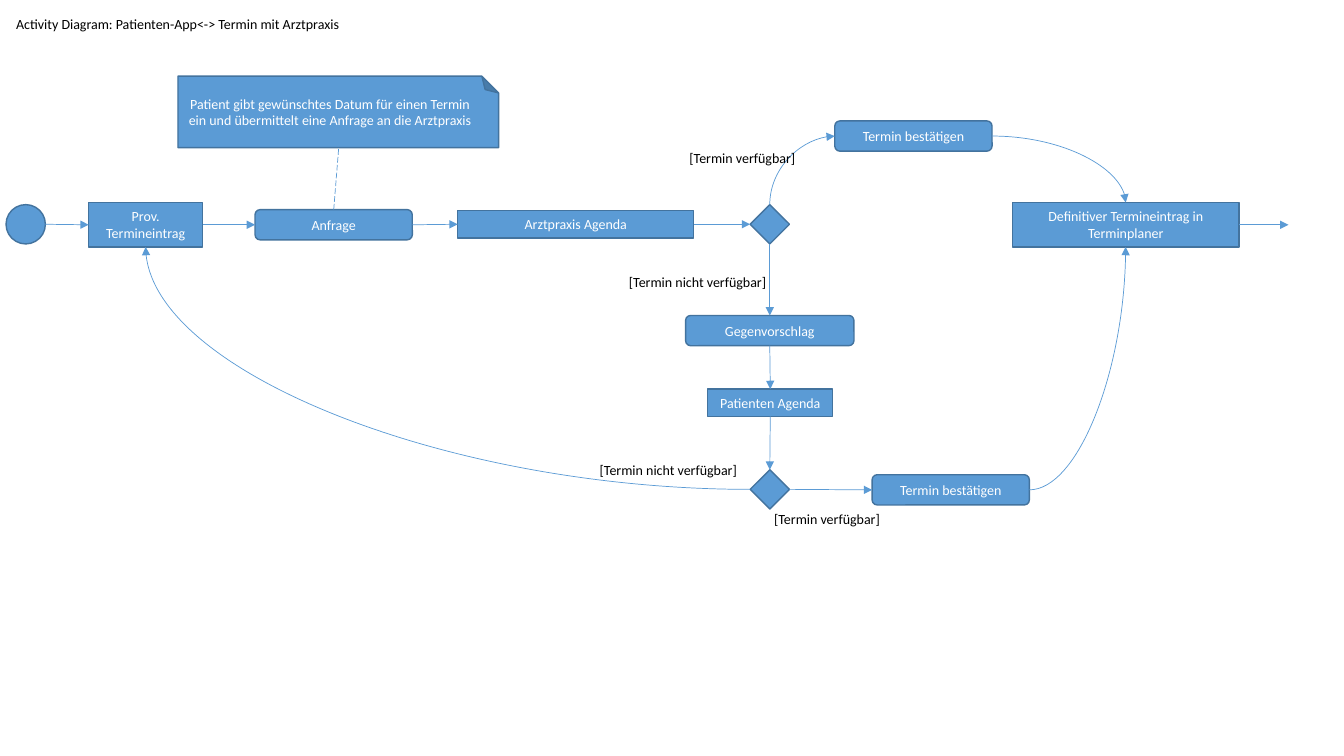
from dataclasses import dataclass

from lxml.etree import SubElement
from pptx import Presentation
from pptx.dml.color import RGBColor
from pptx.enum.dml import MSO_LINE
from pptx.enum.shapes import MSO_CONNECTOR, MSO_SHAPE
from pptx.enum.text import MSO_ANCHOR, MSO_AUTO_SIZE, PP_ALIGN
from pptx.oxml.ns import qn
from pptx.util import Inches, Pt

TOP, LEFT, BOTTOM, RIGHT = range(4)


@dataclass(frozen=True)
class Theme:
    """Colours, font and line widths of the diagram."""
    fill: RGBColor = RGBColor(0x5B, 0x9B, 0xD5)
    outline: RGBColor = RGBColor(0x43, 0x73, 0x9E)
    light: RGBColor = RGBColor(0xFF, 0xFF, 0xFF)
    dark: RGBColor = RGBColor(0, 0, 0)
    font: str = "Calibri"
    size: Pt = Pt(10)
    border: Pt = Pt(1)
    flow: Pt = Pt(0.5)


THEME = Theme()


def write(holder, wording, color, align, anchor):
    """Put formatted wording into a shape."""
    frame = holder.text_frame
    frame.text = wording
    frame.word_wrap = True
    frame.auto_size = MSO_AUTO_SIZE.NONE
    frame.vertical_anchor = anchor
    for paragraph in frame.paragraphs:
        paragraph.alignment = align
        for run in paragraph.runs:
            run.font.name = THEME.font
            run.font.size = THEME.size
            run.font.color.rgb = color


def add_title(slide, wording):
    """Place the heading in the title placeholder."""
    title = slide.shapes.title
    title.left, title.top = Inches(0.06), Inches(0.1)
    title.width, title.height = Inches(9.68), Inches(0.27)
    write(title, wording, THEME.dark, PP_ALIGN.LEFT, MSO_ANCHOR.TOP)


def add_node(slide, kind, left, top, width, height, wording=""):
    """Draw one node of the activity diagram."""
    node = slide.shapes.add_shape(
        kind, Inches(left), Inches(top), Inches(width), Inches(height))
    node.shadow.inherit = False
    node.fill.solid()
    node.fill.fore_color.rgb = THEME.fill
    node.line.color.rgb = THEME.outline
    node.line.width = THEME.border
    if wording:
        write(node, wording, THEME.light, PP_ALIGN.CENTER, MSO_ANCHOR.MIDDLE)
    return node


def add_action(slide, left, top, wording, width=1.56):
    """Draw a rounded action node."""
    return add_node(slide, MSO_SHAPE.ROUNDED_RECTANGLE, left, top, width, 0.3, wording)


def add_object(slide, left, top, width, height, wording):
    """Draw a rectangular object node."""
    return add_node(slide, MSO_SHAPE.RECTANGLE, left, top, width, height, wording)


def add_decision(slide, top):
    """Draw a decision diamond in the decision column."""
    return add_node(slide, MSO_SHAPE.DIAMOND, 7.44, top, 0.39, 0.39)


def add_note(slide, wording):
    """Draw the note with its folded corner at the upper right."""
    note = add_node(slide, MSO_SHAPE.FOLDED_CORNER, 3, -0.48, 0.71, 3.18, wording)
    note.rotation = 270
    fold = note._element.spPr.find(qn("a:prstGeom")).find(qn("a:avLst"))
    SubElement(fold, qn("a:gd"), name="adj", fmla="val 23400")
    note.text_frame._txBody.find(qn("a:bodyPr")).set("vert", "vert")


def add_guard(slide, left, top, wording, width=1.7):
    """Write the condition of a flow."""
    guard = slide.shapes.add_textbox(
        Inches(left), Inches(top), Inches(width), Inches(0.27))
    write(guard, wording, THEME.dark, PP_ALIGN.LEFT, MSO_ANCHOR.TOP)


def site(node, side):
    """Return the middle of one side of a node."""
    x = node.left + {LEFT: 0, RIGHT: node.width}.get(side, node.width // 2)
    y = node.top + {TOP: 0, BOTTOM: node.height}.get(side, node.height // 2)
    return x, y


def add_line(slide, start, end, kind=MSO_CONNECTOR.STRAIGHT, dashed=False):
    """Draw a flow arrow or a dashed note line between two points."""
    line = slide.shapes.add_connector(kind, *start, *end)
    line.line.color.rgb = THEME.fill
    line.line.width = THEME.flow
    properties = line._element.spPr
    if dashed:
        line.line.dash_style = MSO_LINE.LONG_DASH
    else:
        SubElement(properties.find(qn("a:ln")), qn("a:tailEnd"), type="triangle")
    SubElement(properties, qn("a:effectLst"))
    return line


def add_flow(slide, source, source_side, target, target_side):
    """Join two nodes with a straight arrow."""
    flow = add_line(slide, site(source, source_side), site(target, target_side))
    flow.begin_connect(source, source_side)
    flow.end_connect(target, target_side)


def add_curve(slide, start, end, upright=False):
    """Draw a quarter-turn arrow, leaving vertically when upright."""
    if upright:
        dx, dy = end[0] - start[0], end[1] - start[1]
        x, y = (start[0] + end[0]) // 2, (start[1] + end[1]) // 2
        start, end = (x - dy // 2, y + dx // 2), (x + dy // 2, y - dx // 2)
    curve = add_line(slide, start, end, MSO_CONNECTOR.CURVE)
    properties = curve._element.spPr
    properties.find(qn("a:prstGeom")).set("prst", "curvedConnector2")
    if upright:
        properties.find(qn("a:xfrm")).set("rot", str(90 * 60000))


def main():
    """Build the appointment activity diagram."""
    deck = Presentation()
    deck.slide_width, deck.slide_height = Inches(13.33), Inches(7.5)
    slide = deck.slides.add_slide(deck.slide_layouts[5])
    add_title(slide, "Activity Diagram: Patienten-App<-> Termin mit Arztpraxis")

    begin = add_node(slide, MSO_SHAPE.OVAL, 0.06, 2.03, 0.39, 0.39)
    provisional = add_object(slide, 0.88, 2.01, 1.13, 0.44, "Prov. Termineintrag")
    request = add_action(slide, 2.53, 2.08, "Anfrage")
    practice = add_object(slide, 4.54, 2.09, 2.34, 0.27, "Arztpraxis Agenda")
    practice_check = add_decision(slide, 2.03)
    proposal = add_action(slide, 6.8, 3.13, "Gegenvorschlag", 1.67)
    patient = add_object(slide, 7.02, 3.86, 1.24, 0.27, "Patienten Agenda")
    patient_check = add_decision(slide, 4.66)
    practice_confirm = add_action(slide, 8.28, 1.2, "Termin bestätigen")
    patient_confirm = add_action(slide, 8.65, 4.71, "Termin bestätigen")
    definitive = add_object(slide, 10.04, 2.01, 2.25, 0.44,
                            "Definitiver Termineintrag in Terminplaner")
    add_note(slide, "Patient gibt gewünschtes Datum für einen Termin ein "
                    "und übermittelt eine Anfrage an die Arztpraxis")

    for source, target in ((provisional, request), (request, practice),
                           (practice, practice_check),
                           (patient_check, patient_confirm)):
        add_flow(slide, source, RIGHT, target, LEFT)
    for source, target in ((practice_check, proposal), (proposal, patient),
                           (patient, patient_check)):
        add_flow(slide, source, BOTTOM, target, TOP)

    add_line(slide, site(begin, RIGHT), site(provisional, LEFT))
    add_line(slide, site(definitive, RIGHT), (Inches(12.78), Inches(2.23)))
    add_line(slide, site(request, TOP), (Inches(3.36), Inches(1.46)), dashed=True)

    add_curve(slide, site(practice_check, TOP), site(practice_confirm, LEFT), upright=True)
    add_curve(slide, site(practice_confirm, RIGHT), site(definitive, TOP))
    add_curve(slide, site(patient_confirm, RIGHT), site(definitive, BOTTOM))
    add_curve(slide, site(patient_check, LEFT), site(provisional, BOTTOM))

    add_guard(slide, 6.74, 1.43, "[Termin verfügbar]", 1.44)
    add_guard(slide, 6.14, 2.66, "[Termin nicht verfügbar]")
    add_guard(slide, 5.85, 4.53, "[Termin nicht verfügbar]")
    add_guard(slide, 7.58, 5.02, "[Termin verfügbar]")
    deck.save("out.pptx")


main()
